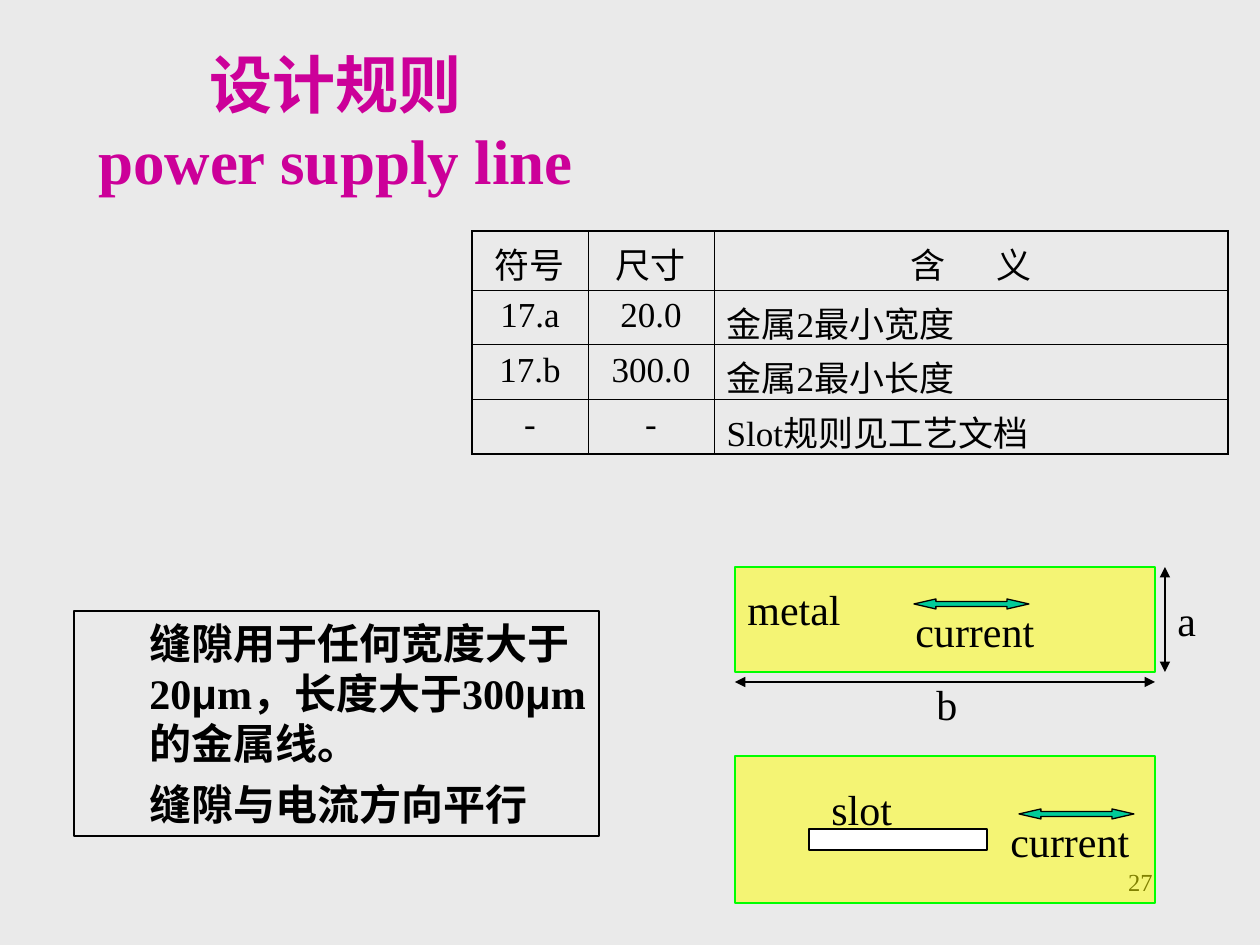
from lxml import etree
from pptx import Presentation
from pptx import util as u
from pptx.dml.color import RGBColor
from pptx.enum import shapes, text
from pptx.oxml import ns

SCALE = 914400 / 126
SERIF = "Times New Roman"
BLACK = "000000"
CENTER = text.PP_ALIGN.CENTER


def px(*lengths):
    return [u.Emu(round(length * SCALE)) for length in lengths]


def paint(color_format, color):
    color_format.rgb = RGBColor.from_string(color)


deck = Presentation()
deck.slide_width, deck.slide_height = px(1260, 945)
page = deck.slides.add_slide(deck.slide_layouts[6])
page.background.fill.solid()
paint(page.background.fill.fore_color, "EAEAEA")

headings = [
    ("27", 903, 861, 262, 63, 14, BLACK, False, text.PP_ALIGN.RIGHT),
    ("设计规则\vpower supply line", 73, 32, 525, 179, 36, "CC0099", True, CENTER),
]
for words, left, top, width, height, size, color, bold, align in headings:
    box = page.shapes.add_textbox(*px(left, top, width, height))
    box.text_frame.word_wrap = True
    if bold:
        box.text_frame.vertical_anchor = text.MSO_ANCHOR.MIDDLE
    box.text_frame.text = words
    para = box.text_frame.paragraphs[0]
    para.alignment = align
    for span in para.runs:
        span.font.name = SERIF
        span.font.size = u.Pt(size)
        span.font.bold = bold
        paint(span.font.color, color)

rules = [
    [["符号"], ["尺寸"], ["含", " ", "义"]],
    [["17.a"], ["20.0"], ["金属2最小宽度"]],
    [["17.b"], ["300.0"], ["金属2最小长度"]],
    [["-"], ["-"], ["Slot规则见工艺文档"]],
]
table = page.shapes.add_table(4, 3, *px(472, 231, 756, 223)).table
table.first_row = table.horz_banding = False
for column, width in zip(table.columns, px(116, 126, 514)):
    column.width = width
for row, height in zip(table.rows, px(59, 54, 54, 54)):
    row.height = height
for r, row in enumerate(rules):
    for c, parts in enumerate(row):
        cell = table.cell(r, c)
        cell.margin_left = cell.margin_right = u.Inches(0.1)
        cell.margin_top = cell.margin_bottom = u.Inches(0.05)
        para = cell.text_frame.paragraphs[0]
        para.alignment = CENTER if r == 0 or c < 2 else text.PP_ALIGN.LEFT
        for part in parts:
            span = para.add_run()
            span.text = part
            span.font.name = SERIF
            span.font.size = u.Pt(20)
            paint(span.font.color, BLACK)
            if part == " ":
                span.font._element.set("spc", "2500")
        outer = {"lnL": c == 0, "lnR": c == 2, "lnT": r == 0, "lnB": r == 3}
        props = cell._tc.get_or_add_tcPr()
        for side, is_outer in outer.items():
            edge = etree.SubElement(props, ns.qn("a:" + side))
            edge.set("w", str(u.Pt(1.08 if is_outer else 0.45)))
            ink = etree.SubElement(edge, ns.qn("a:solidFill"))
            etree.SubElement(ink, ns.qn("a:srgbClr")).set("val", BLACK)
        cell.fill.background()

RECT = shapes.MSO_SHAPE.RECTANGLE
ARROW = shapes.MSO_SHAPE.LEFT_RIGHT_ARROW
figures = [
    (RECT, 735, 567, 420, 105, "FFFF00", "00FF00"),
    (ARROW, 914, 599, 115, 10, "00CC99", BLACK),
    (RECT, 735, 756, 420, 147, "FFFF00", "00FF00"),
    (RECT, 809, 829, 178, 21, "FFFFFF", BLACK),
    (ARROW, 1019, 809, 115, 10, "00CC99", BLACK),
    (RECT, 74, 611, 525, 225, None, BLACK),
]
for kind, left, top, width, height, fill, line in figures:
    shape = page.shapes.add_shape(kind, *px(left, top, width, height))
    shape.shadow.inherit = False
    shape.line.width = u.Pt(0.75)
    paint(shape.line.color, line)
    if fill is None:
        shape.fill.background()
        note = shape
        continue
    shape.fill.solid()
    paint(shape.fill.fore_color, fill)
    if kind == ARROW:
        shape.adjustments[0], shape.adjustments[1] = 0.5, 2.19
    if fill == "FFFF00":
        ink = shape._element.spPr.find(ns.qn("a:solidFill"))[0]
        etree.SubElement(ink, ns.qn("a:alpha")).set("val", "50000")

for ends in [(1165, 567, 1165, 672), (735, 682, 1155, 682)]:
    dimension = page.shapes.add_connector(shapes.MSO_CONNECTOR.STRAIGHT, *px(*ends))
    dimension.line.width = u.Pt(0.75)
    paint(dimension.line.color, BLACK)
    for end in ("a:headEnd", "a:tailEnd"):
        etree.SubElement(dimension.line._ln, ns.qn(end)).set("type", "triangle")
    etree.SubElement(dimension._element.spPr, ns.qn("a:effectLst"))

labels = [
    ("current", 903, 599, 168),
    ("current", 998, 809, 168),
    ("a", 1165, 588, 53),
    ("b", 924, 672, 53),
    ("slot", 819, 777, 116),
    ("metal", 735, 577, 136),
]
for words, left, top, width in labels:
    box = page.shapes.add_textbox(*px(left, top, width, 63))
    box.text_frame.word_wrap = True
    box.text_frame.text = words
    span = box.text_frame.paragraphs[0].runs[0]
    span.font.name = SERIF
    span.font.size = u.Pt(24)
    paint(span.font.color, BLACK)

note_lines = [
    ["缝隙用于任何宽度大于20", "μ", "m，长度大于300", "μ", "m的金属线。"],
    ["缝隙与电流方向平行"],
]
frame = note.text_frame
frame.word_wrap = True
frame.vertical_anchor = text.MSO_ANCHOR.TOP
for i, parts in enumerate(note_lines):
    para = frame.add_paragraph() if i else frame.paragraphs[0]
    para.alignment = text.PP_ALIGN.LEFT
    para.level = 1
    para._p.get_or_add_pPr().set("marL", str(u.Inches(0.5)))
    para._p.get_or_add_pPr().set("indent", "0")
    if i:
        para.space_before = u.Pt(6)
    for part in parts:
        span = para.add_run()
        span.text = part
        span.font.name = "Arial" if part == "μ" else SERIF
        span.font.size = u.Pt(24)
        span.font.bold = True
        paint(span.font.color, BLACK)

deck.save("out.pptx")
